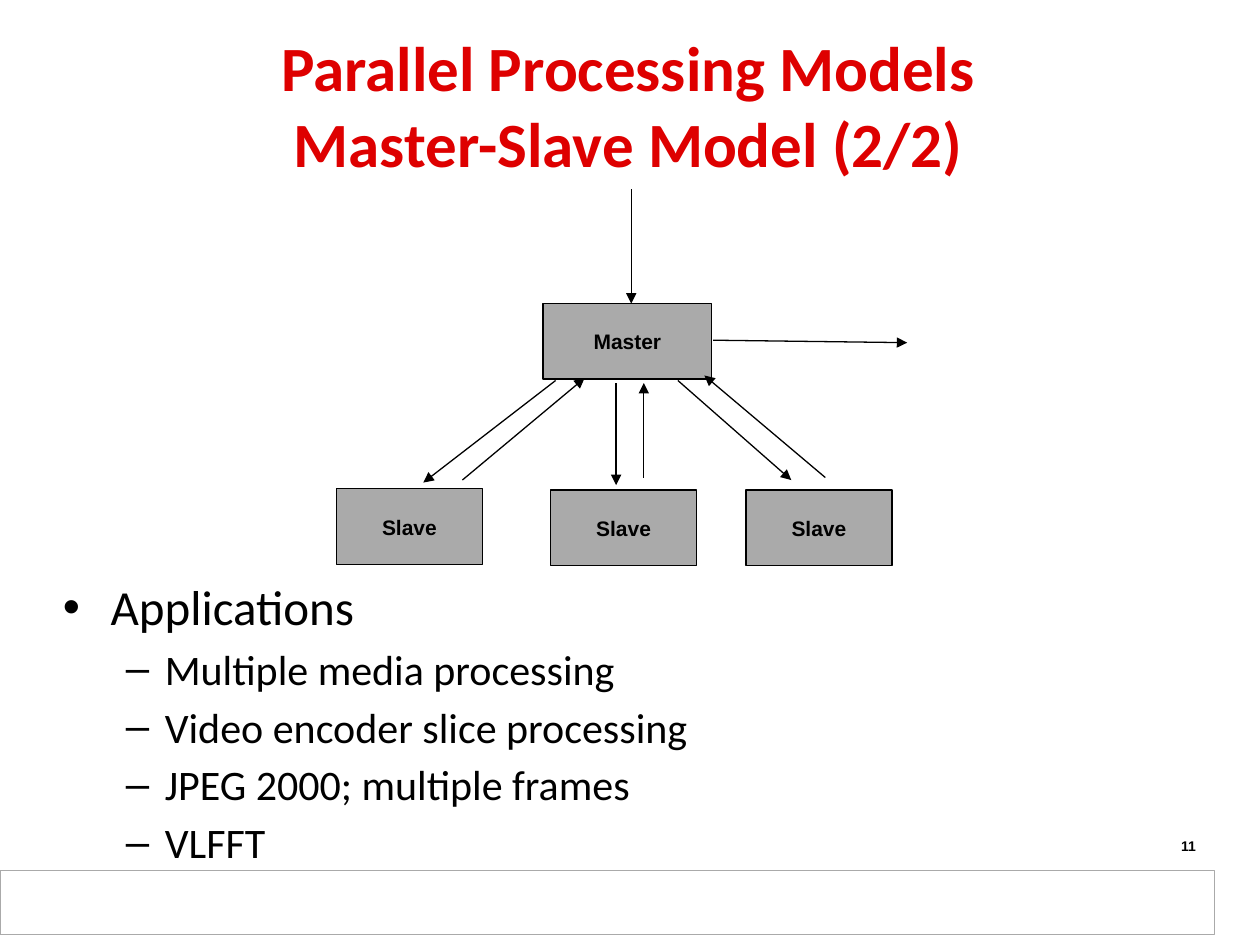
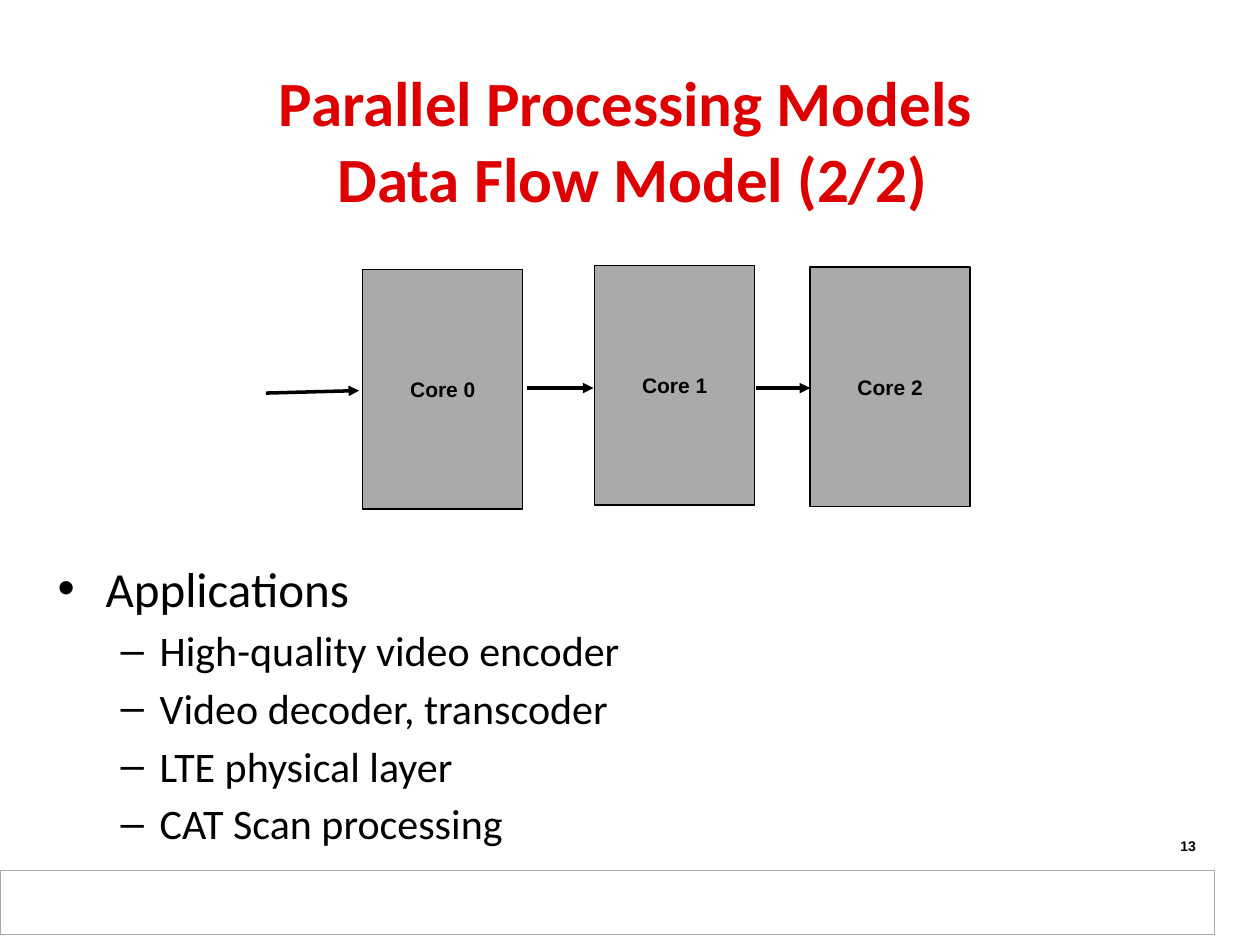
from typing import NamedTuple

from lxml import etree
from pptx import Presentation
from pptx.dml.color import RGBColor
from pptx.enum.shapes import MSO_CONNECTOR, MSO_SHAPE
from pptx.enum.text import MSO_ANCHOR, PP_ALIGN
from pptx.oxml.ns import qn
from pptx.util import Inches, Pt

RED = RGBColor(0xDE, 0x00, 0x00)
BLACK = RGBColor(0x00, 0x00, 0x00)
WHITE = RGBColor(0xFF, 0xFF, 0xFF)
GRAY = RGBColor(0xAA, 0xAA, 0xAA)

HEADING_FONT = "Calibri"
LABEL_FONT = "Arial"
RECTANGLE = MSO_SHAPE.RECTANGLE
STRAIGHT = MSO_CONNECTOR.STRAIGHT
MIDDLE = MSO_ANCHOR.MIDDLE
CENTER = PP_ALIGN.CENTER
RIGHT = PP_ALIGN.RIGHT
BLANK_LAYOUT = 6
THIN = 0.75


class Box(NamedTuple):
    left: float
    top: float
    width: float
    height: float

    def lengths(self):
        return [Inches(value) for value in self]


class Node(NamedTuple):
    label: str
    box: Box


class Arrow(NamedTuple):
    start: tuple[float, float]
    end: tuple[float, float]


class BulletStyle(NamedTuple):
    mark: str
    size: int
    margin: float
    hanging: float
    space_before: float


class ModelSlide(NamedTuple):
    title_lines: list[str]
    title_box: Box
    title_bottom_inset: float
    applications: list[str]
    applications_box: Box
    nodes: list[Node]
    arrows: list[Arrow]
    arrow_width: float
    number: str


FOOTER_BAND = Box(0, 6.91, 9.64, 0.51)
NUMBER_BOX = Box(7.26, 6.6, 2.33, 0.23)
HEADING_BULLET = BulletStyle("•", 28, 0.38, 0.38, 0)
ITEM_BULLET = BulletStyle("–", 24, 0.81, 0.31, 4.25)

MASTER_SLAVE = ModelSlide(
    title_lines=["Parallel Processing Models", "Master-Slave Model (2/2)"],
    title_box=Box(0.36, 0.32, 9.25, 1.62),
    title_bottom_inset=0.65,
    applications=[
        "Multiple media processing",
        "Video encoder slice processing",
        "JPEG 2000; multiple frames",
        "VLFFT",
    ],
    applications_box=Box(0.4, 4.53, 9.26, 2.49),
    nodes=[Node("Master", Box(4.31, 2.41, 1.34, 0.6))]
    + [
        Node("Slave", Box(left, top, 1.16, 0.6))
        for left, top in [(2.67, 3.88), (4.37, 3.89), (5.92, 3.89)]
    ],
    arrows=[
        Arrow((5.01, 1.5), (5.01, 2.41)),
        Arrow((4.41, 3.02), (3.36, 3.83)),
        Arrow((4.89, 3.04), (4.89, 3.85)),
        Arrow((5.38, 3.02), (6.28, 3.81)),
        Arrow((3.67, 3.81), (4.64, 3)),
        Arrow((5.11, 3.79), (5.11, 3.04)),
        Arrow((6.55, 3.79), (5.59, 2.98)),
        Arrow((5.66, 2.7), (7.2, 2.72)),
    ],
    arrow_width=THIN,
    number="11",
)

DATA_FLOW = ModelSlide(
    title_lines=["Parallel Processing Models", " Data Flow Model (2/2)"],
    title_box=Box(0.34, 0.32, 9.25, 1.57),
    title_bottom_inset=0.05,
    applications=[
        "High-quality video encoder",
        "Video decoder, transcoder",
        "LTE physical layer",
        "CAT Scan processing",
    ],
    applications_box=Box(0.36, 4.38, 9.26, 2.62),
    nodes=[
        Node(f"Core {index}", Box(left, top, 1.27, 1.9))
        for index, (left, top) in enumerate([(2.88, 2.14), (4.72, 2.11), (6.43, 2.12)])
    ],
    arrows=[
        Arrow((2.11, 3.12), (2.85, 3.1)),
        Arrow((4.18, 3.08), (4.71, 3.08)),
        Arrow((6, 3.08), (6.43, 3.08)),
    ],
    arrow_width=2,
    number="13",
)


def add_run(paragraph, text: str, font_name: str, size: float, color=BLACK, bold=False) -> None:
    run = paragraph.add_run()
    run.text = text
    run.font.name = font_name
    run.font.size = Pt(size)
    run.font.color.rgb = color
    run.font.bold = bold


def add_text_frame(slide, box: Box):
    text_frame = slide.shapes.add_textbox(*box.lengths()).text_frame
    text_frame.word_wrap = True
    return text_frame


def add_rectangle(slide, box: Box, fill: RGBColor, line: RGBColor):
    shape = slide.shapes.add_shape(RECTANGLE, *box.lengths())
    shape.shadow.inherit = False
    shape.fill.solid()
    shape.fill.fore_color.rgb = fill
    shape.line.color.rgb = line
    shape.line.width = Pt(THIN)
    return shape


def add_title(slide, model: ModelSlide) -> None:
    text_frame = add_text_frame(slide, model.title_box)
    text_frame.vertical_anchor = MIDDLE
    text_frame.margin_bottom = Inches(model.title_bottom_inset)
    paragraph = text_frame.paragraphs[0]
    paragraph.alignment = CENTER
    for index, line in enumerate(model.title_lines):
        if index:
            paragraph.add_line_break()
        add_run(paragraph, line, HEADING_FONT, 36, RED, bold=True)


def add_bullet(paragraph, text: str, style: BulletStyle) -> None:
    properties = paragraph._p.get_or_add_pPr()
    properties.set("marL", str(Inches(style.margin)))
    properties.set("indent", str(-Inches(style.hanging)))
    paragraph.space_before = Pt(style.space_before)
    etree.SubElement(properties, qn("a:buFont"), typeface=LABEL_FONT)
    etree.SubElement(properties, qn("a:buChar"), char=style.mark)
    add_run(paragraph, text, HEADING_FONT, style.size)


def add_applications(slide, model: ModelSlide) -> None:
    text_frame = add_text_frame(slide, model.applications_box)
    add_bullet(text_frame.paragraphs[0], "Applications", HEADING_BULLET)
    for application in model.applications:
        add_bullet(text_frame.add_paragraph(), application, ITEM_BULLET)


def add_node(slide, node: Node) -> None:
    text_frame = add_rectangle(slide, node.box, GRAY, BLACK).text_frame
    text_frame.word_wrap = False
    text_frame.vertical_anchor = MIDDLE
    paragraph = text_frame.paragraphs[0]
    paragraph.alignment = CENTER
    add_run(paragraph, node.label, LABEL_FONT, 12, bold=True)


def add_arrow(slide, arrow: Arrow, width: float) -> None:
    points = [Inches(value) for value in arrow.start + arrow.end]
    connector = slide.shapes.add_connector(STRAIGHT, *points)
    connector.line.color.rgb = BLACK
    connector.line.width = Pt(width)
    etree.SubElement(connector.line._get_or_add_ln(), qn("a:tailEnd"), type="triangle")
    etree.SubElement(connector._element.spPr, qn("a:effectLst"))


def add_slide_number(slide, number: str) -> None:
    paragraph = add_text_frame(slide, NUMBER_BOX).paragraphs[0]
    paragraph.alignment = RIGHT
    add_run(paragraph, number, LABEL_FONT, 8, bold=True)


def add_model_slide(presentation, model: ModelSlide) -> None:
    slide = presentation.slides.add_slide(presentation.slide_layouts[BLANK_LAYOUT])
    # Shared band, title and bullets
    add_rectangle(slide, FOOTER_BAND, WHITE, GRAY)
    add_title(slide, model)
    add_applications(slide, model)
    # Diagram
    for node in model.nodes:
        add_node(slide, node)
    for arrow in model.arrows:
        add_arrow(slide, arrow, model.arrow_width)
    add_slide_number(slide, model.number)


def main() -> None:
    presentation = Presentation()
    presentation.slide_width = Inches(10)
    presentation.slide_height = Inches(7.5)
    for model in (MASTER_SLAVE, DATA_FLOW):
        add_model_slide(presentation, model)
    presentation.save("out.pptx")


if __name__ == "__main__":
    main()
